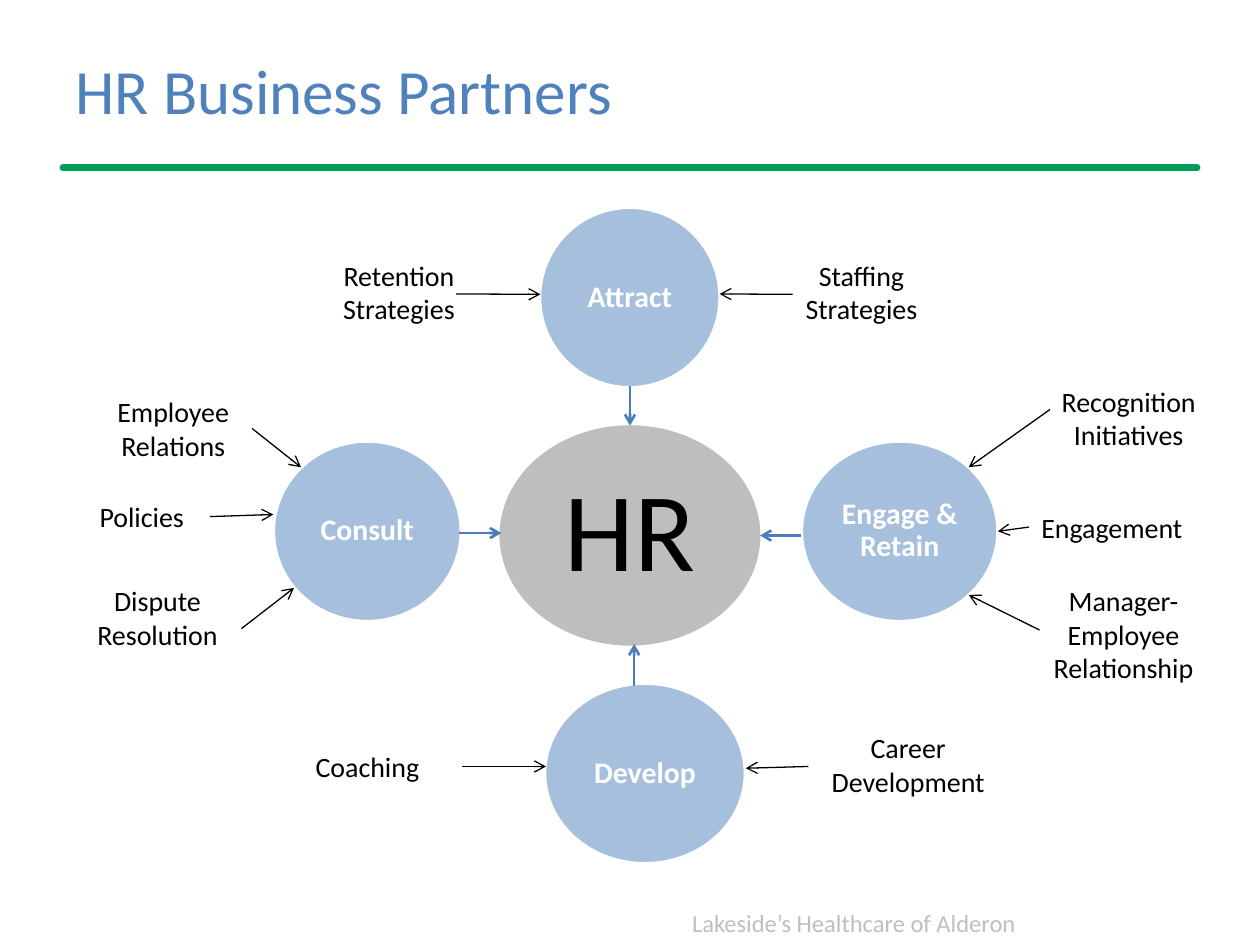
"""Build the HR Business Partners hub diagram slide."""
import pptx
import pptx.util
import pptx.dml.color
import pptx.enum.shapes
import pptx.enum.text
import pptx.oxml.ns
import lxml.etree

Pt = pptx.util.Pt
RGB = pptx.dml.color.RGBColor
ALIGN = pptx.enum.text.PP_ALIGN
MID = pptx.enum.text.MSO_ANCHOR.MIDDLE
qn = pptx.oxml.ns.qn

BLUE = RGB(0x4F, 0x81, 0xBD)
STEEL = RGB(0x4A, 0x7E, 0xBB)
GREEN = RGB(0x00, 0x9D, 0x57)
GRAY = RGB(0x7F, 0x7F, 0x7F)
PALE = RGB(0xBF, 0xBF, 0xBF)
WHITE = RGB(0xFF, 0xFF, 0xFF)
BLACK = RGB(0x00, 0x00, 0x00)


def write(shape, text, size, color, align, bold=False):
    frame = shape.text_frame
    frame.word_wrap = True
    frame.text = text
    para = frame.paragraphs[0]
    para.alignment = align
    font = para.runs[0].font
    font.name, font.size, font.bold = "Calibri", Pt(size), bold
    font.color.rgb = color
    return para


def draw(ends, color, width):
    line = slide.shapes.add_connector(
        pptx.enum.shapes.MSO_CONNECTOR.STRAIGHT, *[Pt(n) for n in ends])
    line.line.color.rgb = color
    line.line.width = Pt(width)
    props = line._element.spPr
    lxml.etree.SubElement(props, qn("a:effectLst"))
    return props.find(qn("a:ln"))


deck = pptx.Presentation()
deck.slide_width, deck.slide_height = Pt(720), Pt(540)
slide = deck.slides.add_slide(deck.slide_layouts[5])

rule = draw((36, 96, 684, 96), GREEN, 4)
rule.set("cap", "rnd")

foot = slide.shapes.add_textbox(Pt(77.8), Pt(515.5), Pt(509.8), Pt(24.5))
write(foot, "Lakeside’s Healthcare of Alderon", 14, PALE, ALIGN.RIGHT)

title = slide.shapes.title
title.left, title.top, title.width, title.height = Pt(36), Pt(12), Pt(648), Pt(78)
title.text_frame.vertical_anchor = MID
write(title, "HR Business Partners", 36, BLUE, ALIGN.LEFT)

ovals = [
    ("HR", 284.4, 242, 151.2, 128, GRAY, BLACK, 64, False),
    ("Attract", 308.3, 118.4, 103.2, 103.2, BLUE, WHITE, 17, True),
    ("Engage & Retain", 457.9, 252, 112.4, 103.2, BLUE, WHITE, 17, True),
    ("Develop", 311.2, 390.4, 114.8, 103.2, BLUE, WHITE, 17, True),
    ("Consult", 156.2, 252, 107.4, 103.2, BLUE, WHITE, 17, True),
]
for text, left, top, width, height, fill, color, size, bold in ovals:
    oval = slide.shapes.add_shape(
        pptx.enum.shapes.MSO_SHAPE.OVAL, Pt(left), Pt(top), Pt(width), Pt(height))
    oval.shadow.inherit = False
    oval.fill.solid()
    oval.fill.fore_color.rgb = fill
    tint = oval._element.spPr.find(qn("a:solidFill"))[0]
    lxml.etree.SubElement(tint, qn("a:alpha")).set("val", "50000")
    oval.line.color.rgb = WHITE
    oval.line.width = Pt(2)
    frame = oval.text_frame
    frame.margin_left = frame.margin_right = 0
    frame.margin_top = frame.margin_bottom = 0
    frame.vertical_anchor = MID
    write(oval, text, size, color, ALIGN.CENTER, bold).line_spacing = 0.9

labels = [
    ("Recognition Initiatives", 588, 216, 114, 46),
    ("Engagement", 588, 288, 114, 26.6),
    ("Manager-Employee Relationship", 582, 330, 120, 65),
    ("Career Development", 462, 414, 114, 65),
    ("Coaching", 156, 425, 108, 26.6),
    ("Employee Relations", 54, 222, 90, 46),
    ("Policies", 36, 282, 90, 26.6),
    ("Dispute Resolution", 36, 330, 108, 46),
    ("Staffing Strategies", 438.3, 144, 108, 46),
    ("Retention Strategies", 174, 144, 108, 46),
]
for text, *place in labels:
    box = slide.shapes.add_textbox(*[Pt(n) for n in place])
    align = ALIGN.LEFT if text == "Engagement" else ALIGN.CENTER
    write(box, text, 16, BLACK, align)

spokes = [
    (360, 220.5, 360, 243.2),
    (458, 306, 434.4, 306),
    (362.4, 392.2, 362.4, 368),
    (262.2, 304.6, 286.4, 304.6),
]
links = [
    (453, 168.2, 411.2, 168),
    (260.6, 168, 308.8, 168.2),
    (600, 234, 553.6, 267),
    (144, 244.8, 172, 267),
    (120, 295.2, 156.2, 294),
    (264, 438, 312, 438),
    (462, 438, 426.2, 439),
    (588, 301.2, 570.2, 303.6),
    (594, 360, 553.6, 340),
    (138, 359.2, 168, 336),
]
for group, color, width in ((spokes, STEEL, 1.5), (links, BLACK, 0.75)):
    for ends in group:
        tip = lxml.etree.SubElement(draw(ends, color, width), qn("a:tailEnd"))
        tip.set("type", "arrow")

deck.save("out.pptx")
